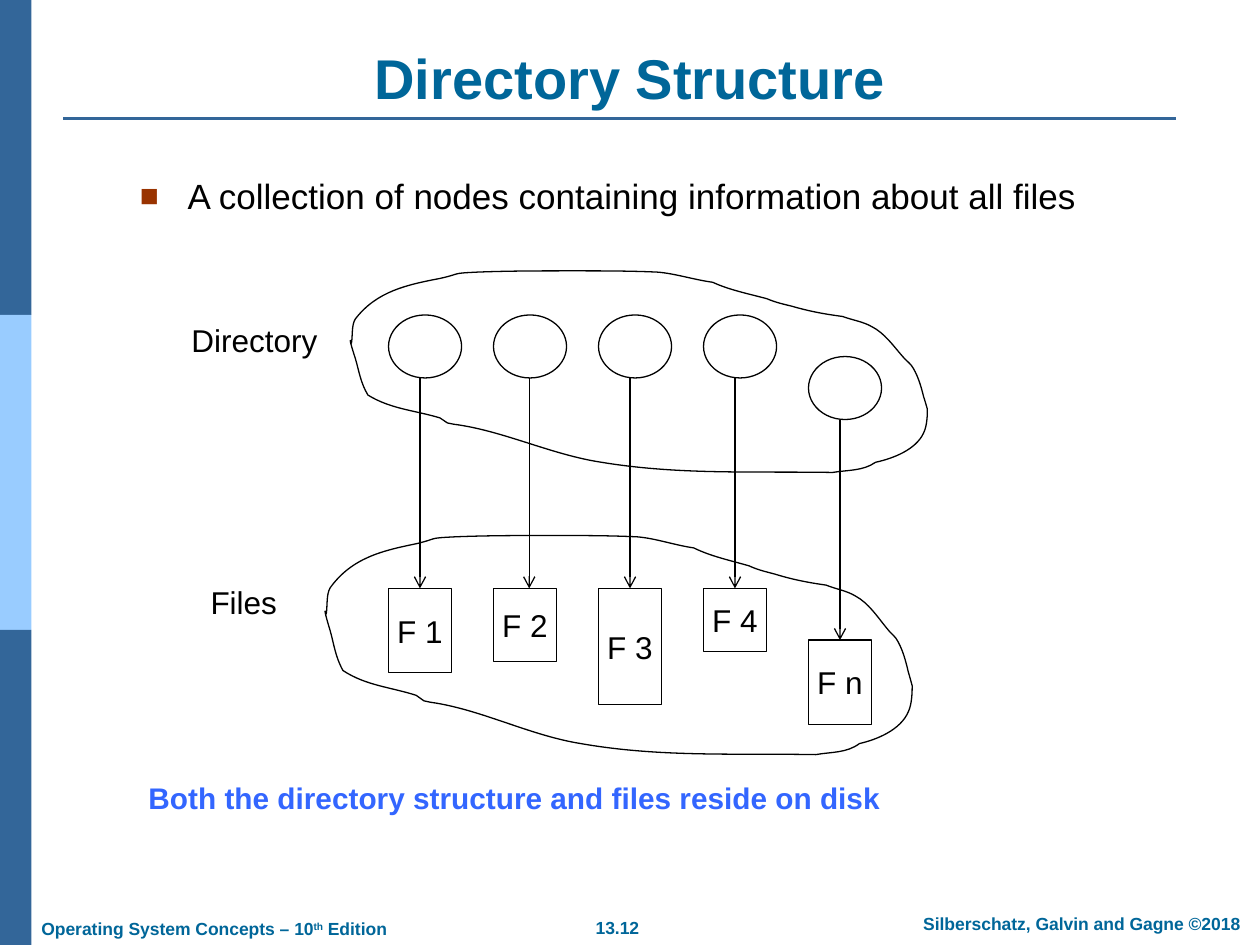
import pptx
import pptx.util
import pptx.dml.color
import pptx.enum.shapes
import pptx.enum.text
import pptx.oxml
import pptx.oxml.ns

Inches = pptx.util.Inches
Pt = pptx.util.Pt
RGB = pptx.dml.color.RGBColor.from_string
SHAPE = pptx.enum.shapes.MSO_SHAPE
ALIGN = pptx.enum.text.PP_ALIGN
ANCHOR = pptx.enum.text.MSO_ANCHOR
AUTO = pptx.enum.text.MSO_AUTO_SIZE
NS = pptx.oxml.ns.nsdecls("a")
COLORS = {
    "bar": "336699", "bar_light": "99CCFF", "heading": "006699", "bullet": "993300",
    "note": "3366FF", "ink": "000000", "paper": "FFFFFF",
}

prs = pptx.Presentation()
prs.slide_width = Inches(10)
prs.slide_height = Inches(7.5)
s = prs.slides.add_slide(prs.slide_layouts[1])


def add_run(p, text, size, color, bold=False):
    r = p.add_run()
    r.text = text
    r.font.size = Pt(size)
    r.font.name = "Arial"
    r.font.bold = bold
    r.font.color.rgb = RGB(COLORS[color])
    return r


def add_line(x1, y1, x2, y2, color, width):
    line = s.shapes.add_connector(
        pptx.enum.shapes.MSO_CONNECTOR.STRAIGHT, Inches(x1), Inches(y1), Inches(x2), Inches(y2))
    line.line.color.rgb = RGB(COLORS[color])
    line.line.width = Pt(width)
    line._element.spPr.append(pptx.oxml.parse_xml(f"<a:effectLst {NS}/>"))
    return line


for i, color in enumerate(["bar", "bar_light", "bar"]):
    sp = s.shapes.add_shape(SHAPE.RECTANGLE, 0, Inches(2.5 * i), Inches(0.25), Inches(2.5))
    sp.shadow.inherit = False
    sp.fill.solid()
    sp.fill.fore_color.rgb = RGB(COLORS[color])
    sp.line.fill.background()
add_line(0.5, 0.94, 9.33, 0.94, "bar", 1.5)

title = s.shapes.title
title.left, title.top, title.width, title.height = [Inches(v) for v in (0.5, 0.3, 9, 0.63)]
tf = title.text_frame
tf.auto_size = AUTO.NONE
tf.vertical_anchor = ANCHOR.BOTTOM
p = tf.paragraphs[0]
p.alignment = ALIGN.CENTER
add_run(p, "Directory Structure", 32, "heading", True)

body = s.placeholders[1]
body.left, body.top, body.width, body.height = [Inches(v) for v in (1.01, 1.4, 8.06, 0.39)]
tf = body.text_frame
tf.auto_size = AUTO.NONE
p = tf.paragraphs[0]
pPr = p._p.get_or_add_pPr()
pPr.set("marL", str(Inches(0.38)))
pPr.set("indent", str(Inches(-0.38)))
for xml in (
    f'<a:buClr {NS}><a:srgbClr val="{COLORS["bullet"]}"/></a:buClr>',
    f'<a:buSzPct {NS} val="90000"/>',
    f'<a:buFont {NS} typeface="Arial"/>',
    f'<a:buChar {NS} char="■"/>',
):
    pPr.append(pptx.oxml.parse_xml(xml))
p.line_spacing = 0.8
p.space_before = Pt(0)
add_run(p, "A collection of nodes containing information about all files", 20, "ink")

files = [
    ("F 1", 2.5, 4.67, 0.67), ("F 2", 2.5, 4.67, 0.58), ("F 3", 2.5, 4.67, 0.92),
    ("F 4", 2.5, 4.67, 0.5), ("F n", 2.83, 5.08, 0.67),
]
for i, (name, node_top, file_top, file_height) in enumerate(files):
    left = (37 + 10 * i) / 12
    node = s.shapes.add_shape(
        SHAPE.OVAL, Inches(left), Inches(node_top), Inches(0.58), Inches(0.5))
    box = s.shapes.add_shape(
        SHAPE.RECTANGLE, Inches(left), Inches(file_top), Inches(0.5), Inches(file_height))
    for sp in (node, box):
        sp.shadow.inherit = False
        sp.fill.solid()
        sp.fill.fore_color.rgb = RGB(COLORS["paper"])
        sp.line.color.rgb = RGB(COLORS["ink"])
        sp.line.width = Pt(0.75)
    tf = box.text_frame
    tf.word_wrap = False
    tf.vertical_anchor = ANCHOR.MIDDLE
    p = tf.paragraphs[0]
    p.alignment = ALIGN.CENTER
    add_run(p, name, 18, "ink")

    x = 4.2 if name == "F 2" else left + 0.25
    arrow = add_line(x, node_top + 0.5, x, file_top, "ink", 0.75)
    if name != "F 2":
        arrow.end_connect(box, 0)
    arrow.line._get_or_add_ln().append(pptx.oxml.parse_xml(f'<a:tailEnd {NS} type="arrow"/>'))

cloud_start = (2.79, 2.72)
cloud_curves = [
    (2.8, 2.65, 2.79, 2.58, 2.82, 2.53), (2.99, 2.31, 3.23, 2.26, 3.49, 2.21),
    (3.67, 2.17, 3.57, 2.17, 3.79, 2.16), (4.04, 2.15, 4.29, 2.15, 4.55, 2.15),
    (4.77, 2.15, 4.99, 2.15, 5.21, 2.16), (5.35, 2.17, 5.5, 2.22, 5.65, 2.24),
    (5.78, 2.3, 5.93, 2.33, 6.08, 2.37), (6.15, 2.4, 6.2, 2.41, 6.28, 2.43),
    (6.42, 2.47, 6.53, 2.49, 6.68, 2.51), (6.76, 2.54, 6.84, 2.55, 6.91, 2.59),
    (7.01, 2.64, 7.08, 2.74, 7.15, 2.82), (7.18, 2.86, 7.22, 2.88, 7.24, 2.92),
    (7.28, 2.99, 7.3, 3.06, 7.32, 3.14), (7.33, 3.17, 7.35, 3.24, 7.35, 3.24),
    (7.35, 3.28, 7.35, 3.37, 7.32, 3.43), (7.26, 3.56, 7.08, 3.63, 6.94, 3.66),
    (6.84, 3.73, 6.72, 3.72, 6.6, 3.74), (5.96, 3.73, 5.38, 3.76, 4.77, 3.66),
    (4.37, 3.6, 3.99, 3.41, 3.6, 3.36), (3.58, 3.36, 3.57, 3.35, 3.55, 3.35),
    (3.53, 3.34, 3.51, 3.32, 3.49, 3.31), (3.29, 3.25, 3.1, 3.24, 2.92, 3.13),
    (2.86, 3.03, 2.85, 2.94, 2.82, 2.84), (2.82, 2.84, 2.78, 2.72, 2.78, 2.7),
    (2.78, 2.69, 2.79, 2.71, 2.79, 2.72),
]
for left, top, width, height in [(2.78, 2.15, 4.58, 1.61), (2.58, 4.25, 4.66, 1.75)]:
    curves = [
        [(Inches(left + (x - 2.78) * width / 4.57), Inches(top + (y - 2.15) * height / 1.6))
         for x, y in zip(curve[::2], curve[1::2])]
        for curve in [cloud_start] + cloud_curves]
    builder = s.shapes.build_freeform(*curves[0][0])
    builder.add_line_segments([curve[-1] for curve in curves[1:]], close=True)
    sp = builder.convert_to_shape()
    segments = sp._element.findall(".//" + pptx.oxml.ns.qn("a:lnTo"))
    for segment, curve in zip(segments, curves[1:]):
        pts = "".join(f'<a:pt x="{x - sp.left}" y="{y - sp.top}"/>' for x, y in curve)
        segment.getparent().replace(
            segment, pptx.oxml.parse_xml(f"<a:cubicBezTo {NS}>{pts}</a:cubicBezTo>"))
    sp.shadow.inherit = False
    sp.fill.background()
    sp.line.color.rgb = RGB(COLORS["ink"])
    sp.line.width = Pt(0.75)

labels = [
    (1.42, 2.5, 1.2, 0.4, ALIGN.CENTER, ANCHOR.MIDDLE, 18, "ink", False, ["Directory"]),
    (1.57, 4.58, 0.73, 0.4, ALIGN.CENTER, ANCHOR.MIDDLE, 18, "ink", False, ["Files"]),
    (1.08, 6.17, 8.31, 0.42, ALIGN.LEFT, ANCHOR.TOP, 17, "note", True,
     ["Both the directory structure and files reside on disk"]),
    (4.37, 7.23, 1.06, 0.27, ALIGN.CENTER, ANCHOR.TOP, 10, "heading", True, ["13.12"]),
    (7.1, 7.2, 2.97, 0.27, ALIGN.CENTER, ANCHOR.TOP, 10, "heading", True,
     ["Silberschatz, Galvin and Gagne ©2018"]),
    (0.23, 7.24, 2.94, 0.27, ALIGN.LEFT, ANCHOR.TOP, 10, "heading", True,
     ["Operating System Concepts – 10", "th", " Edition"]),
]
for left, top, width, height, align, anchor, size, color, bold, texts in labels:
    sp = s.shapes.add_textbox(Inches(left), Inches(top), Inches(width), Inches(height))
    tf = sp.text_frame
    tf.word_wrap = color == "note"
    tf.vertical_anchor = anchor
    p = tf.paragraphs[0]
    p.alignment = align
    if color == "note":
        p.line_spacing = 0.9
    for text in texts:
        r = add_run(p, text, size, color, bold)
        if text == "th":
            r._r.get_or_add_rPr().set("baseline", "30000")

prs.save("out.pptx")
